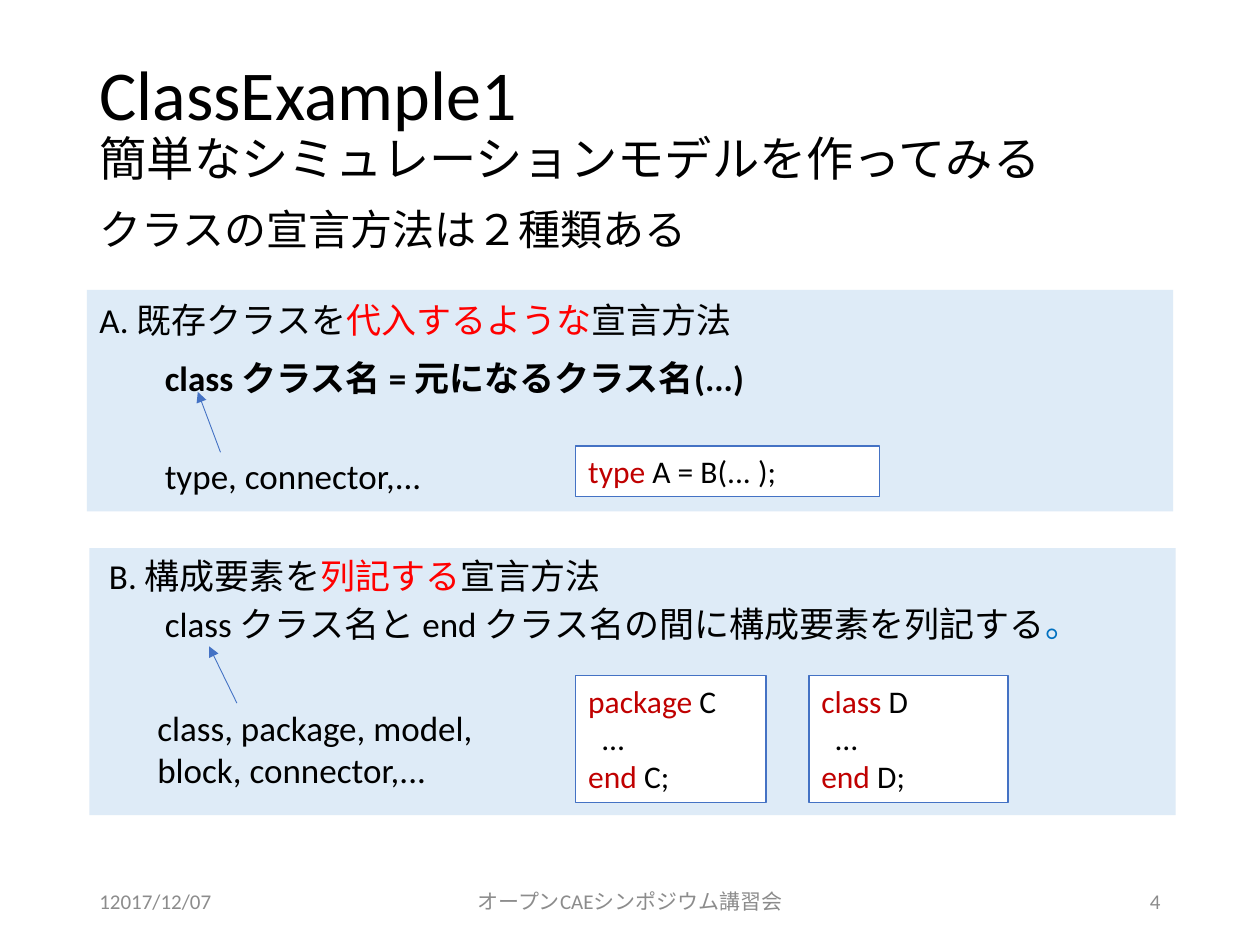
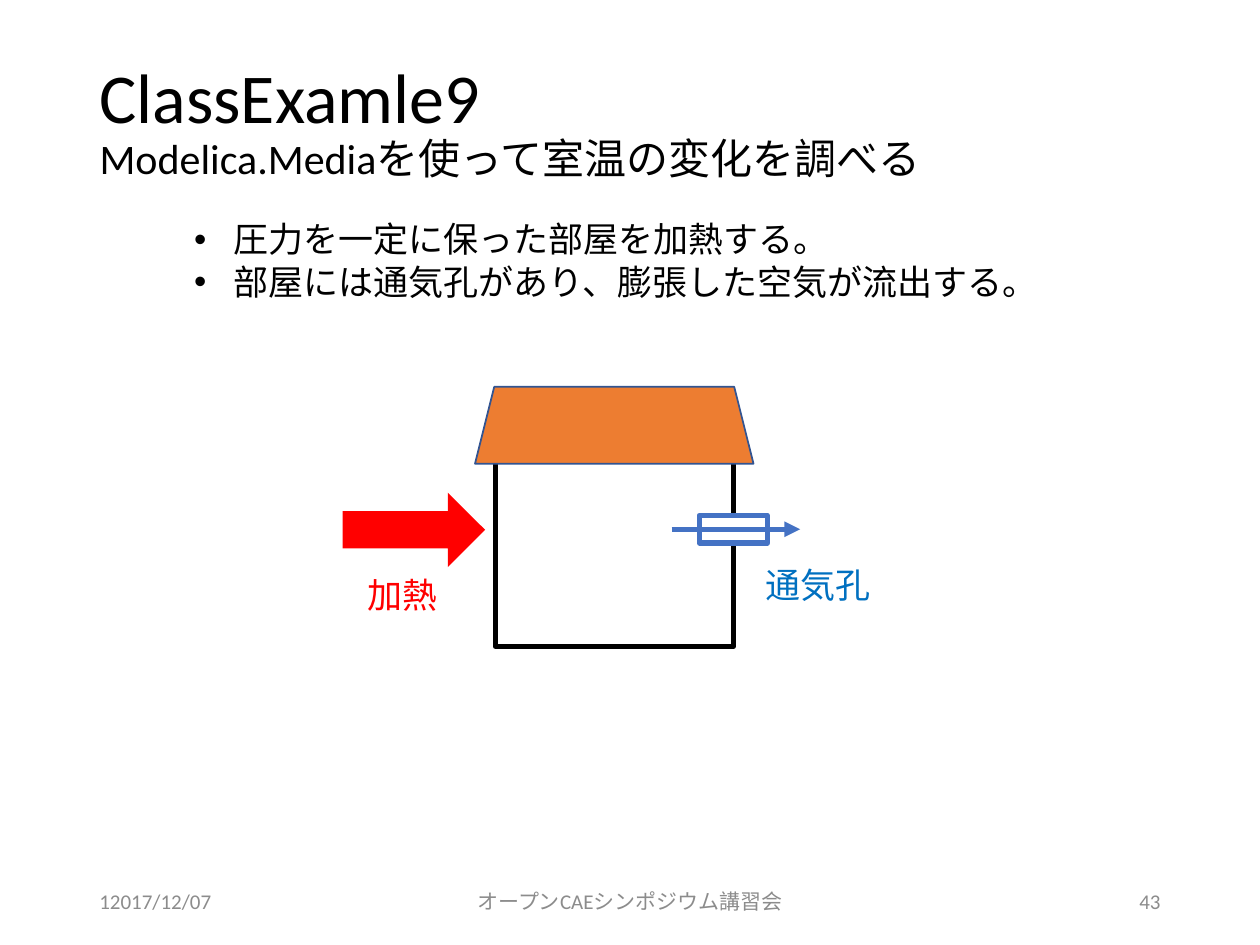
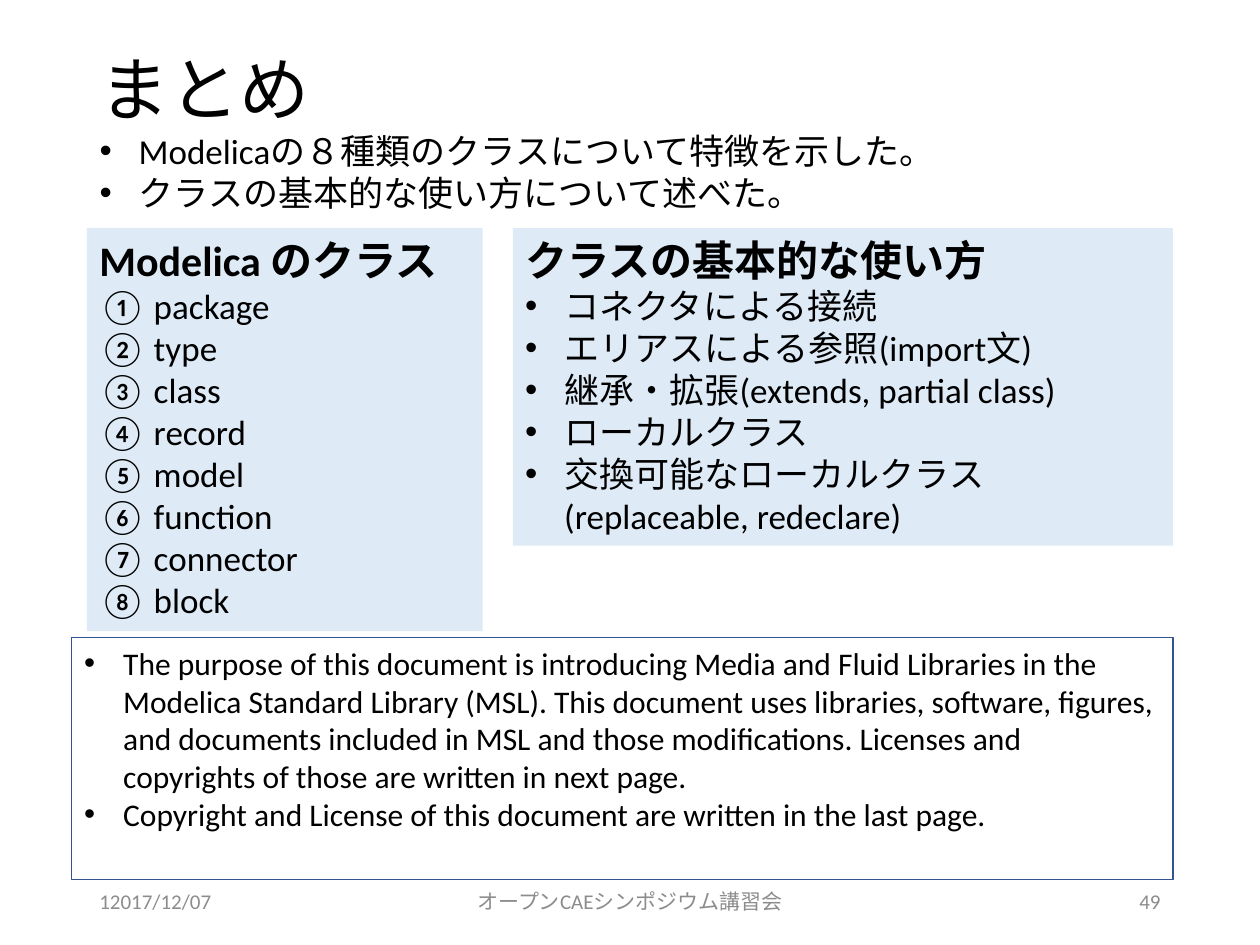
import pptx
import pptx.dml.color
import pptx.enum.shapes
import pptx.enum.text
import pptx.oxml
import pptx.oxml.ns
import pptx.util

Inches = pptx.util.Inches
Pt = pptx.util.Pt
SHAPE = pptx.enum.shapes.MSO_SHAPE
ANCHOR = pptx.enum.text.MSO_ANCHOR
ALIGN = pptx.enum.text.PP_ALIGN

COLORS = {
    "text": "000000", "footer": "8C8C8C", "paper": "FFFFFF", "band": "DEEBF7",
    "blue": "4472C4", "navy": "325491", "roof": "ED7D31", "red": "FF0000",
    "keyword": "C00000", "air": "0070C0",
}
FONT = "Calibri"
BULLET_INDENT = 0.31
TITLE_AREA = (0.69, 0.39, 8.62, 1.18)
LAYOUT_BULLETS, LAYOUT_TITLE_ONLY = 1, 5

# A paragraph is a list of runs; a run is a string or (string, format changes).
RED = {"color": "red"}
KEYWORD = {"color": "keyword"}
HEADING = {"size": 24, "bold": True}

FOOTERS = [
    ((0.69, 6.95, 2.25, 0.4), "12017/12/07", ALIGN.LEFT),
    ((3.31, 6.95, 3.38, 0.4), "オープンCAEシンポジウム講習会", ALIGN.CENTER),
]
PAGE_NUMBER_AREA = (7.06, 6.95, 2.25, 0.4)

DECLARATION_BANDS = [(0.69, 2.3, 8.62, 1.76), (0.71, 4.35, 8.62, 2.12)]
DECLARATION_TEXTS = [
    ((0.69, 1.57, 8.64, 0.5), ["クラスの宣言方法は２種類ある"], {"size": 24}),
    ((0.69, 2.32, 5.32, 0.44),
     ["A. 既存クラスを", ("代入するような", RED), "宣言方法"], {"wrap": False}),
    ((1.21, 2.78, 5.65, 0.44),
     ["class クラス名 = 元になるクラス名(...)"], {"bold": True}),
    ((1.21, 3.56, 3.13, 0.44), ["type, connector,..."], {}),
    ((0.71, 4.35, 4.25, 0.44),
     [(" ", {"size": 18, "bold": True}), "B. 構成要素を", ("列記する", RED), "宣言方法"],
     {"wrap": False}),
    ((1.21, 4.73, 7.69, 0.44),
     ["class クラス名と end クラス名の間に構成要素を列記する", ("。", {"color": "air"})], {}),
    ((1.15, 5.56, 3.33, 0.77), ["class, package, model, block, connector,..."], {}),
]
KEYWORD_ARROWS = [((1.75, 3.59), (1.57, 3.11)), ((1.88, 5.58), (1.66, 5.13))]


def block_code(keyword, name):
    return [[(keyword, KEYWORD), f" {name}"], ["  …"], [("end", KEYWORD), f" {name};"]]


CODE_BOXES = [
    ((4.57, 3.54, 2.41, 0.4), [[("type ", KEYWORD), "A = B(... );"]]),
    ((4.57, 5.36, 1.51, 1.01), block_code("package", "C")),
    ((6.42, 5.36, 1.58, 1.01), block_code("class", "D")),
]

ROOM_POINTS = [
    ["圧力を一定に保った部屋を加熱する。"],
    ["部屋には通気孔があり、膨張した空気が流出する。"],
]
HOUSE_PARTS = [
    (SHAPE.RECTANGLE, (3.93, 3.55, 1.89, 1.58), {"line": "text", "width": 3}),
    (SHAPE.TRAPEZOID, (3.77, 3.07, 2.21, 0.61),
     {"fill": "roof", "line": "navy", "width": 1}),
    (SHAPE.RIGHT_ARROW, (2.72, 3.91, 1.13, 0.59), {"fill": "red"}),
    (SHAPE.RECTANGLE, (5.55, 4.09, 0.54, 0.22),
     {"fill": "paper", "line": "blue", "width": 3}),
]
HOUSE_LABELS = [
    ((2.82, 4.5, 1.11, 0.44), "加熱", "red"),
    ((5.98, 4.42, 1.08, 0.44), "通気孔", "air"),
]

SUMMARY_POINTS = [
    ["Modelicaの８種類のクラスについて特徴を示した。"],
    ["クラスの基本的な使い方について述べた。"],
]
CLASS_KINDS = ["package", "type", "class", "record",
               "model", "function", "connector", "block"]
CLASS_USES = [
    "コネクタによる接続",
    "エリアスによる参照(import文)",
    "継承・拡張(extends, partial class)",
    "ローカルクラス",
    "交換可能なローカルクラス(replaceable, redeclare)",
]
LICENSE_NOTES = [
    ["The purpose of this document is introducing Media and Fluid Libraries in the "
     "Modelica Standard Library (MSL). This document uses libraries, software, figures, "
     "and documents included in MSL and those modifications. Licenses and copyrights of "
     "those are written in next page."],
    ["Copyright and License of this document are written in the last page."],
]


def rgb(color):
    return pptx.dml.color.RGBColor.from_string(COLORS[color])


def inches(values):
    return [Inches(value) for value in values]


def place(shape, area):
    shape.left, shape.top, shape.width, shape.height = inches(area)


def add_bullet(paragraph):
    properties = paragraph._p.get_or_add_pPr()
    properties.set("marL", str(Inches(BULLET_INDENT)))
    properties.set("indent", str(-Inches(BULLET_INDENT)))
    for tag, key, value in (("a:buFont", "typeface", "Arial"), ("a:buChar", "char", "•")):
        element = pptx.oxml.ns.qn(tag)
        properties.append(properties.makeelement(element, {key: value}))


def write(shape, paragraphs, size=20, color="text", bold=False, align=ALIGN.LEFT,
          anchor=ANCHOR.TOP, wrap=True, bullets_from=None, line_spacing=None):
    """Fill the shape; paragraphs from index bullets_from on get bullets."""
    frame = shape.text_frame
    frame.word_wrap = wrap
    frame.auto_size = pptx.enum.text.MSO_AUTO_SIZE.NONE
    frame.vertical_anchor = anchor
    for index, runs in enumerate(paragraphs):
        paragraph = frame.add_paragraph() if index else frame.paragraphs[0]
        if bullets_from is not None and index >= bullets_from:
            add_bullet(paragraph)
        paragraph.alignment = align
        paragraph.space_before = Pt(0)
        paragraph.line_spacing = line_spacing
        for item in runs:
            text, changes = (item, {}) if isinstance(item, str) else item
            if text == "\n":
                paragraph.add_line_break()
                continue
            style = {"size": size, "color": color, "bold": bold} | changes
            run = paragraph.add_run()
            run.text = text
            run.font.name = FONT
            run.font.size = Pt(style["size"])
            run.font.bold = style["bold"]
            run.font.color.rgb = rgb(style["color"])


def add_text(slide, area, paragraphs, **style):
    write(slide.shapes.add_textbox(*inches(area)), paragraphs, **style)


def add_block(slide, kind, area, fill=None, line=None, width=0.75):
    block = slide.shapes.add_shape(kind, *inches(area))
    block.shadow.inherit = False
    if fill:
        block.fill.solid()
        block.fill.fore_color.rgb = rgb(fill)
    else:
        block.fill.background()
    if line:
        block.line.color.rgb = rgb(line)
        block.line.width = Pt(width)
    else:
        block.line.fill.background()
    return block


def add_arrow(slide, start, end, width):
    arrow = slide.shapes.add_connector(
        pptx.enum.shapes.MSO_CONNECTOR.STRAIGHT, *inches(start + end))
    arrow.line.color.rgb = rgb("blue")
    arrow.line.width = Pt(width)
    qn = pptx.oxml.ns.qn
    outline = arrow.line._get_or_add_ln()
    outline.append(outline.makeelement(qn("a:tailEnd"), {"type": "triangle"}))
    properties = arrow._element.spPr
    properties.append(properties.makeelement(qn("a:effectLst"), {}))


def add_page(deck, layout, number, title, subtitle=None, subtitle_size=24):
    slide = deck.slides.add_slide(deck.slide_layouts[layout])
    heading = slide.shapes.title
    place(heading, TITLE_AREA)
    runs = [title]
    if subtitle:
        runs += ["\n", (subtitle, {"size": subtitle_size})]
    write(heading, [runs], size=40, line_spacing=0.9,
          anchor=ANCHOR.MIDDLE if subtitle else ANCHOR.TOP)
    for area, text, align in FOOTERS + [(PAGE_NUMBER_AREA, str(number), ALIGN.RIGHT)]:
        add_text(slide, area, [[text]], size=12, color="footer",
                 align=align, anchor=ANCHOR.MIDDLE)
    return slide


def fill_body(slide, area, points):
    body = slide.placeholders[1]
    place(body, area)
    write(body, points, bullets_from=0)


def build_declarations(deck):
    slide = add_page(deck, LAYOUT_TITLE_ONLY, 4, "ClassExample1",
                     "簡単なシミュレーションモデルを作ってみる", 27)
    for area in DECLARATION_BANDS:
        add_block(slide, SHAPE.RECTANGLE, area, fill="band")
    for area, runs, style in DECLARATION_TEXTS:
        add_text(slide, area, [runs], **style)
    for start, end in KEYWORD_ARROWS:
        add_arrow(slide, start, end, 0.5)
    for area, code in CODE_BOXES:
        box = add_block(slide, SHAPE.RECTANGLE, area, fill="paper", line="blue")
        write(box, code, size=18)


def build_room(deck):
    slide = add_page(deck, LAYOUT_BULLETS, 43, "ClassExamle9",
                     "Modelica.Mediaを使って室温の変化を調べる")
    fill_body(slide, (1.44, 1.68, 6.75, 0.77), ROOM_POINTS)
    for kind, area, style in HOUSE_PARTS:
        add_block(slide, kind, area, **style)
    add_arrow(slide, (5.33, 4.2), (6.35, 4.2), 3)
    for area, label, color in HOUSE_LABELS:
        add_text(slide, area, [[label]], color=color)


def build_summary(deck):
    slide = add_page(deck, LAYOUT_BULLETS, 49, "まとめ")
    fill_body(slide, (0.69, 0.98, 7.47, 0.77), SUMMARY_POINTS)

    kinds = add_block(slide, SHAPE.RECTANGLE, (0.69, 1.81, 3.14, 3.2), fill="band")
    numbered = [[f"{mark} {kind}"] for mark, kind in zip("①②③④⑤⑥⑦⑧", CLASS_KINDS)]
    write(kinds, [[("Modelica のクラス", HEADING)]] + numbered)

    uses = add_block(slide, SHAPE.RECTANGLE, (4.07, 1.81, 5.24, 2.52), fill="band")
    write(uses, [[("クラスの基本的な使い方", HEADING)]] + [[use] for use in CLASS_USES],
          bullets_from=1)

    notes = add_block(slide, SHAPE.RECTANGLE, (0.57, 5.06, 8.74, 1.92), line="navy")
    write(notes, LICENSE_NOTES, size=18, bullets_from=0)


def main():
    deck = pptx.Presentation()
    deck.slide_width, deck.slide_height = Inches(10), Inches(7.5)
    build_declarations(deck)
    build_room(deck)
    build_summary(deck)
    deck.save("out.pptx")


if __name__ == "__main__":
    main()
